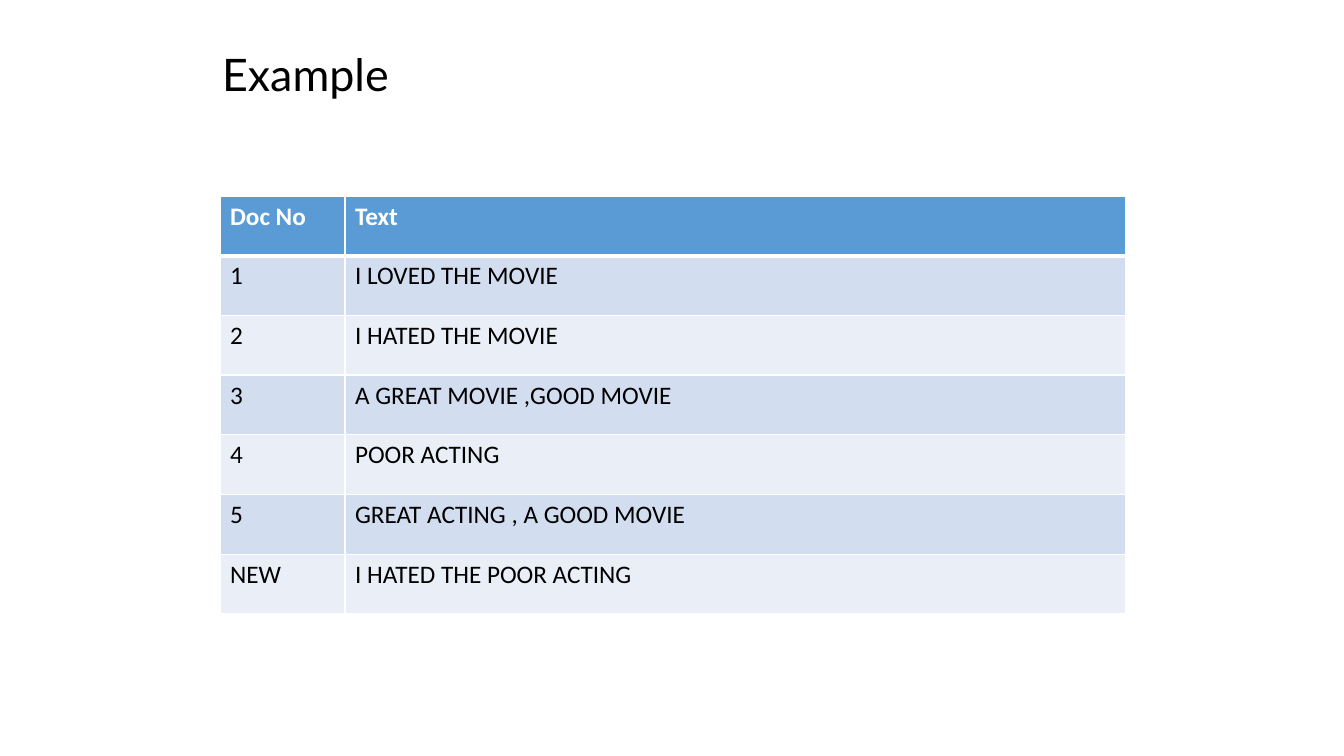
from lxml import etree
from pptx import Presentation
from pptx import util as u
from pptx.dml.color import RGBColor
from pptx.enum import text
from pptx.oxml.ns import qn

EMU_PER_PX = 914400 / 100.8
COLORS = {
    "white": "FFFFFF",
    "black": "000000",
    "header": "5B9BD5",
    "odd_row": "D2DEEF",
    "even_row": "EAEFF7",
}
DOCUMENTS = [
    ("Doc No", "Text"),
    ("1", "I LOVED THE MOVIE"),
    ("2", "I HATED THE MOVIE"),
    ("3", "A GREAT MOVIE ,GOOD MOVIE"),
    ("4", "POOR ACTING"),
    ("5", "GREAT ACTING , A GOOD MOVIE"),
    ("NEW", "I HATED THE POOR ACTING"),
]
COLUMN_WIDTHS = (125, 781)


def px(length):
    return u.Emu(round(length * EMU_PER_PX))


def color(name):
    return RGBColor.from_string(COLORS[name])


def set_font(font, name, size, color_name, bold=False):
    font.name = name
    font.size = u.Pt(size)
    font.bold = bold
    font.color.rgb = color(color_name)


def set_title(slide, words, left, top, width, height):
    title = slide.shapes.title
    title.left, title.top, title.width, title.height = map(px, (left, top, width, height))
    frame = title.text_frame
    frame.text = words
    frame.vertical_anchor = text.MSO_ANCHOR.MIDDLE
    paragraph = frame.paragraphs[0]
    paragraph.alignment = text.PP_ALIGN.LEFT
    paragraph.line_spacing = 0.9
    set_font(paragraph.font, "Lato", 32, "black")


def add_borders(cell, top_width, bottom_width):
    """Draw white borders; call before the fill, which must follow them in the XML."""
    properties = cell._tc.get_or_add_tcPr()
    widths = {"lnL": 1, "lnR": 1, "lnT": top_width, "lnB": bottom_width}
    for tag, width in widths.items():
        line = etree.SubElement(properties, qn(f"a:{tag}"), w=str(u.Pt(width)))
        fill = etree.SubElement(line, qn("a:solidFill"))
        etree.SubElement(fill, qn("a:srgbClr"), val=COLORS["white"])


def format_cell(cell, words, row):
    is_header = row == 0
    add_borders(cell, 3 if row == 1 else 1, 3 if is_header else 1)
    cell.fill.solid()
    band = "odd_row" if row % 2 else "even_row"
    cell.fill.fore_color.rgb = color("header" if is_header else band)
    cell.text = words
    font = cell.text_frame.paragraphs[0].font
    set_font(font, "Calibri", 18, "white" if is_header else "black", is_header)


def add_document_table(slide, left, top, height):
    table = slide.shapes.add_table(
        len(DOCUMENTS), len(COLUMN_WIDTHS),
        px(left), px(top), px(sum(COLUMN_WIDTHS)), px(height),
    ).table
    for column, width in zip(table.columns, COLUMN_WIDTHS):
        column.width = px(width)
    for row, document in enumerate(DOCUMENTS):
        for column, words in enumerate(document):
            format_cell(table.cell(row, column), words, row)


def main():
    presentation = Presentation()
    presentation.slide_width, presentation.slide_height = px(1344), px(756)
    title_only = presentation.slide_layouts[5]
    slide = presentation.slides.add_slide(title_only)
    set_title(slide, "Example", 212, 30, 674, 94)
    add_document_table(slide, 220, 196, 418)
    presentation.save("out.pptx")


if __name__ == "__main__":
    main()
